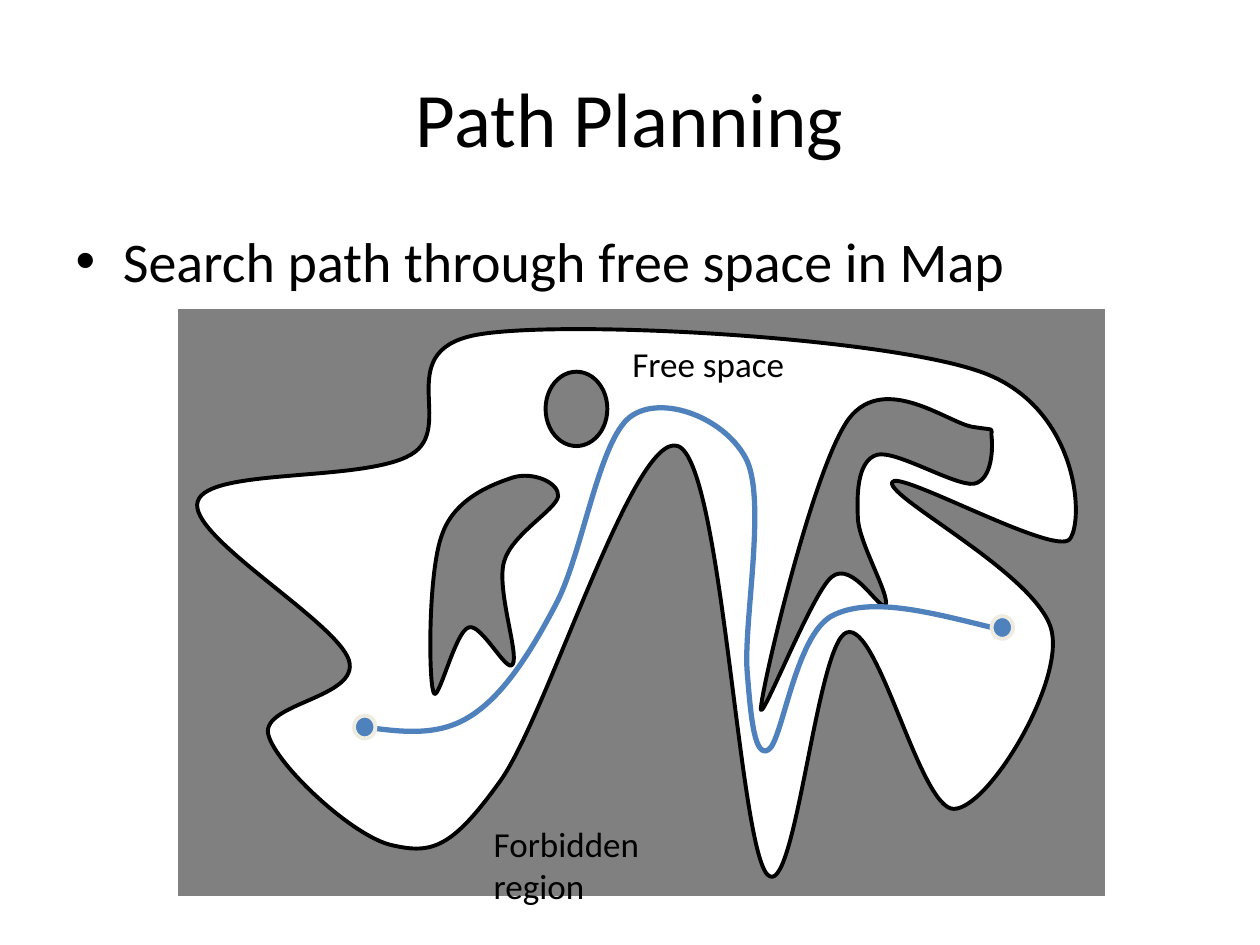
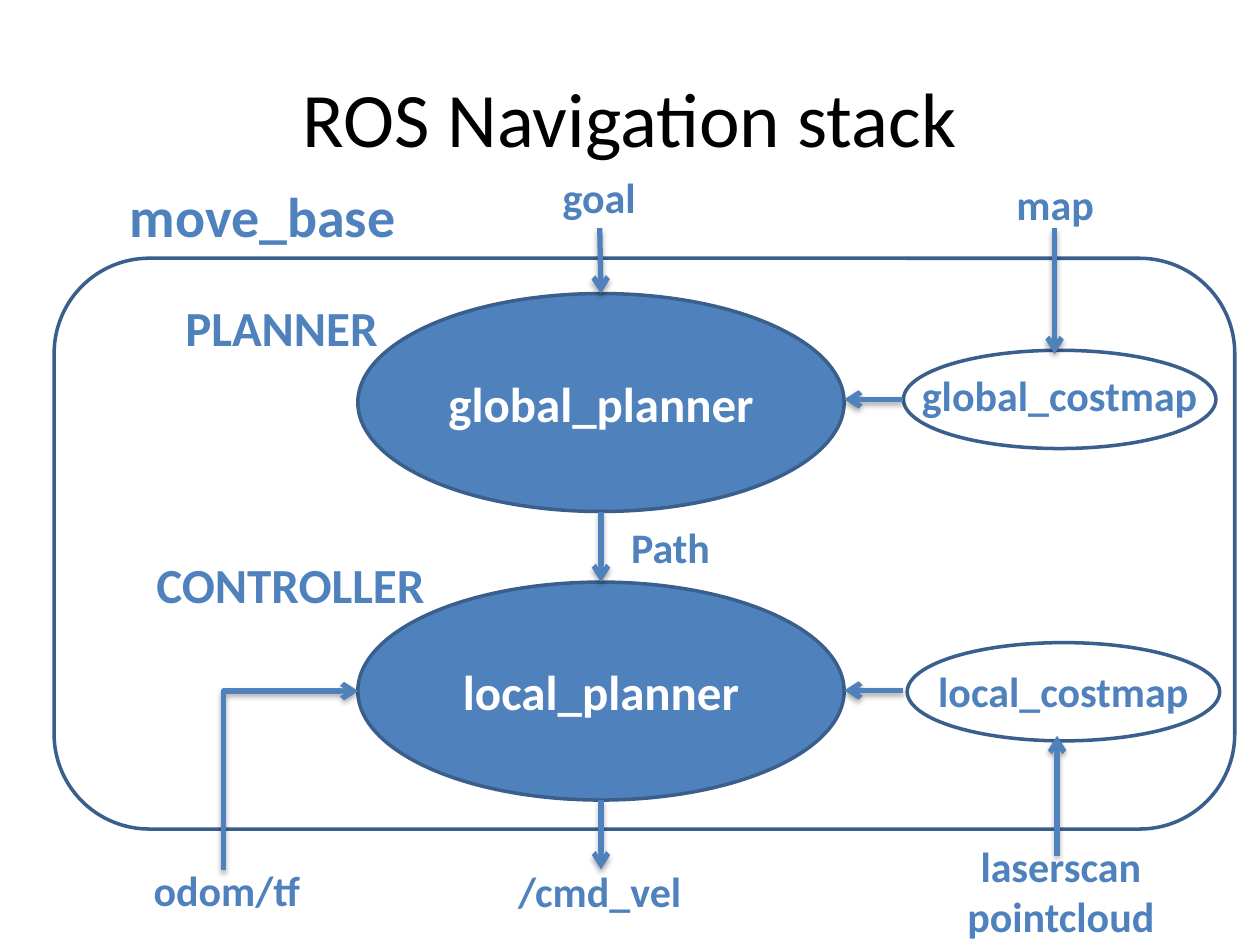
from lxml.etree import SubElement
from pptx import Presentation
from pptx.dml.color import RGBColor
from pptx.enum.shapes import MSO_CONNECTOR as Connector, MSO_SHAPE as Shape
from pptx.enum.text import MSO_ANCHOR as Anchor, MSO_AUTO_SIZE as AutoSize, PP_ALIGN as Align
from pptx.oxml.ns import qn
from pptx.util import Inches, Pt

BLACK = RGBColor(0x00, 0x00, 0x00)
WHITE = RGBColor(0xFF, 0xFF, 0xFF)
GRAY = RGBColor(0x80, 0x80, 0x80)
BLUE = RGBColor(0x4F, 0x81, 0xBD)
DARK_BLUE = RGBColor(0x3A, 0x5F, 0x8C)
CREAM = RGBColor(0xEE, 0xEC, 0xE1)
FONT = "Calibri"
COLUMNS, ROWS = 1000, 750
CELL = Inches(10) // COLUMNS


def paint(shape, fill, line, width):
    if fill is None:
        shape.fill.background()
    else:
        shape.fill.solid()
        shape.fill.fore_color.rgb = fill
    shape.line.color.rgb = line
    shape.line.width = Pt(width)
    shape.shadow.inherit = False


def write(shape, text, size, color, bold=False, align=Align.CENTER, **frame_format):
    frame = shape.text_frame
    frame.text = text
    for name, value in {"word_wrap": True, **frame_format}.items():
        setattr(frame, name, value)
    font_format = {"name": FONT, "size": Pt(size), "bold": bold}
    for paragraph in frame.paragraphs:
        paragraph.alignment = align
        for run in paragraph.runs:
            run.font.color.rgb = color
            for name, value in font_format.items():
                setattr(run.font, name, value)


presentation = Presentation()
presentation.slide_width = COLUMNS * CELL
presentation.slide_height = ROWS * CELL
layouts = presentation.slide_layouts
planning = presentation.slides.add_slide(layouts.get_by_name("Title and Content"))
navigation = presentation.slides.add_slide(layouts.get_by_name("Title Only"))

title_format = {"left": 50, "top": 30, "width": 900, "height": 125}
for slide, text in [(planning, "Path Planning"), (navigation, "ROS Navigation stack")]:
    title = slide.shapes.title
    for name, value in title_format.items():
        setattr(title, name, value * CELL)
    write(title, text, 44, BLACK, vertical_anchor=Anchor.MIDDLE)

body = planning.placeholders[1]
body_format = {"left": 50, "top": 175, "width": 900, "height": 495}
for name, value in body_format.items():
    setattr(body, name, value * CELL)
write(body, "Search path through free space in Map", 32, BLACK, align=Align.LEFT)

forbidden_region = planning.shapes.add_shape(
    Shape.RECTANGLE, *(value * CELL for value in (138, 242, 742, 472)))
paint(forbidden_region, GRAY, WHITE, 4.5)

free_space = [
    (397, 620), (359, 673), (343, 678), (312, 671), (281, 665), (219, 607), (213, 583),
    (207, 558), (286, 554), (277, 524), (267, 493), (148, 425), (157, 398),
    (165, 371), (288, 383), (326, 361), (364, 339), (307, 276), (383, 265),
    (458, 254), (701, 268), (778, 295), (856, 322), (861, 413), (849, 428),
    (837, 442), (710, 371), (708, 383), (705, 396), (827, 458), (835, 502),
    (843, 545), (784, 642), (757, 642), (730, 642), (697, 493), (672, 502),
    (648, 510), (631, 718), (609, 694), (586, 669), (573, 366), (538, 354),
    (503, 342), (435, 567), (397, 620),
]
left_obstacle = [
    (407, 379), (392, 384), (361, 395), (351, 424), (340, 452), (340, 537), (344, 549),
    (347, 562), (361, 501), (372, 498), (382, 494), (403, 536), (407, 527),
    (412, 519), (394, 468), (400, 446), (406, 424), (441, 405), (443, 394),
    (444, 383), (423, 374), (407, 379),
]
right_obstacle = [
    (773, 339), (754, 337), (703, 295), (674, 332), (646, 369), (606, 540), (604, 561),
    (601, 582), (644, 471), (660, 458), (677, 444), (699, 487), (703, 480),
    (706, 472), (683, 433), (681, 413), (680, 393), (680, 366), (696, 361),
    (711, 357), (758, 386), (773, 384), (788, 381), (788, 354), (787, 347),
    (786, 339), (792, 342), (773, 339),
]
robot_route = [
    (289, 577), (319, 581), (348, 585), (374, 568), (399, 552), (420, 520), (441, 480),
    (462, 441), (475, 350), (500, 331), (525, 312), (577, 332), (593, 366),
    (608, 400), (590, 495), (593, 533), (596, 571), (599, 602), (610, 595),
    (621, 588), (631, 505), (660, 489), (690, 473), (738, 486), (787, 498),
]
for points, fill, line, width in [
    (free_space, WHITE, BLACK, 2.25),
    (left_obstacle, GRAY, BLACK, 2.25),
    (right_obstacle, GRAY, BLACK, 2.25),
    (robot_route, None, BLUE, 3),
]:
    builder = planning.shapes.build_freeform(*points[0], scale=CELL)
    builder.add_line_segments(points[1:], close=points[0] == points[-1])
    outline = builder.convert_to_shape()
    paint(outline, fill, line, width)
    segments = outline.element.xpath(".//a:lnTo")
    for first, second, third in zip(segments[::3], segments[1::3], segments[2::3]):
        first.tag = qn("a:cubicBezTo")
        for segment in (second, third):
            first.append(segment[0])
            segment.getparent().remove(segment)

for box, fill, line in [
    ((433, 295, 49, 59), GRAY, BLACK),
    ((787, 489, 17, 18), BLUE, CREAM),
    ((281, 568, 17, 18), BLUE, CREAM),
]:
    spot = planning.shapes.add_shape(Shape.OVAL, *(value * CELL for value in box))
    paint(spot, fill, line, 2.25)

for text, top in [("local_planner", 462), ("global_planner", 233)]:
    planner = navigation.shapes.add_shape(
        Shape.OVAL, *(value * CELL for value in (284, top, 386, 173)))
    paint(planner, BLUE, DARK_BLUE, 2)
    write(planner, text, 28, WHITE, True, vertical_anchor=Anchor.MIDDLE)

for kind, box in [
    (Shape.OVAL, (717, 278, 248, 78)),
    (Shape.OVAL, (720, 510, 248, 78)),
    (Shape.ROUNDED_RECTANGLE, (43, 205, 937, 453)),
]:
    frame_shape = navigation.shapes.add_shape(kind, *(value * CELL for value in box))
    paint(frame_shape, None, DARK_BLUE, 2)

for kind, ends in [
    (Connector.STRAIGHT, (477, 406, 477, 462)),
    (Connector.STRAIGHT, (476, 181, 477, 233)),
    (Connector.STRAIGHT, (477, 635, 477, 690)),
    (Connector.STRAIGHT, (717, 317, 670, 317)),
    (Connector.STRAIGHT, (717, 548, 670, 548)),
    (Connector.STRAIGHT, (839, 679, 839, 584)),
    (Connector.STRAIGHT, (837, 181, 837, 281)),
    (Connector.ELBOW, (302, 673, 160, 566)),
]:
    arrow = navigation.shapes.add_connector(kind, *(value * CELL for value in ends))
    arrow.line.color.rgb = BLUE
    arrow.line.width = Pt(3)
    properties = arrow.element.spPr
    SubElement(properties.find(qn("a:ln")), qn("a:tailEnd"), type="arrow")
    effects = SubElement(properties, qn("a:effectLst"))
    shadow = SubElement(effects, qn("a:outerShdw"), blurRad="40000", dist="23000",
                        dir="5400000", rotWithShape="0")
    shadow_color = SubElement(shadow, qn("a:srgbClr"), val=str(BLACK))
    SubElement(shadow_color, qn("a:alpha"), val="35000")
    if kind == Connector.ELBOW:
        properties.find(qn("a:xfrm")).set("rot", "5400000")
        properties.find(qn("a:prstGeom")).set("prst", "bentConnector2")

for slide, text, box, size, color, bold, align in [
    (planning, "Forbidden region", (382, 648, 203, 43), 20, BLACK, False, Align.LEFT),
    (planning, "Free space", (492, 267, 202, 43), 20, BLACK, False, Align.LEFT),
    (navigation, "Path", (491, 409, 222, 50), 24, BLUE, True, Align.LEFT),
    (navigation, "goal", (404, 131, 143, 50), 24, BLUE, True, Align.CENTER),
    (navigation, "/cmd_vel", (381, 682, 190, 50), 24, BLUE, True, Align.CENTER),
    (navigation, "global_costmap", (713, 288, 256, 50), 24, BLUE, True, Align.CENTER),
    (navigation, "local_costmap", (716, 523, 256, 50), 24, BLUE, True, Align.CENTER),
    (navigation, "map", (766, 137, 143, 50), 24, BLUE, True, Align.CENTER),
    (navigation, "laserscan\npointcloud", (744, 662, 196, 91), 24, BLUE, True, Align.CENTER),
    (navigation, "move_base", (67, 139, 283, 64), 32, BLUE, True, Align.CENTER),
    (navigation, "PLANNER", (82, 231, 283, 57), 28, BLUE, True, Align.CENTER),
    (navigation, "CONTROLLER", (79, 435, 303, 57), 28, BLUE, True, Align.CENTER),
    (navigation, "odom/tf", (91, 681, 178, 50), 24, BLUE, True, Align.CENTER),
]:
    label = slide.shapes.add_textbox(*(value * CELL for value in box))
    write(label, text, size, color, bold, align, auto_size=AutoSize.SHAPE_TO_FIT_TEXT)

presentation.save("out.pptx")
